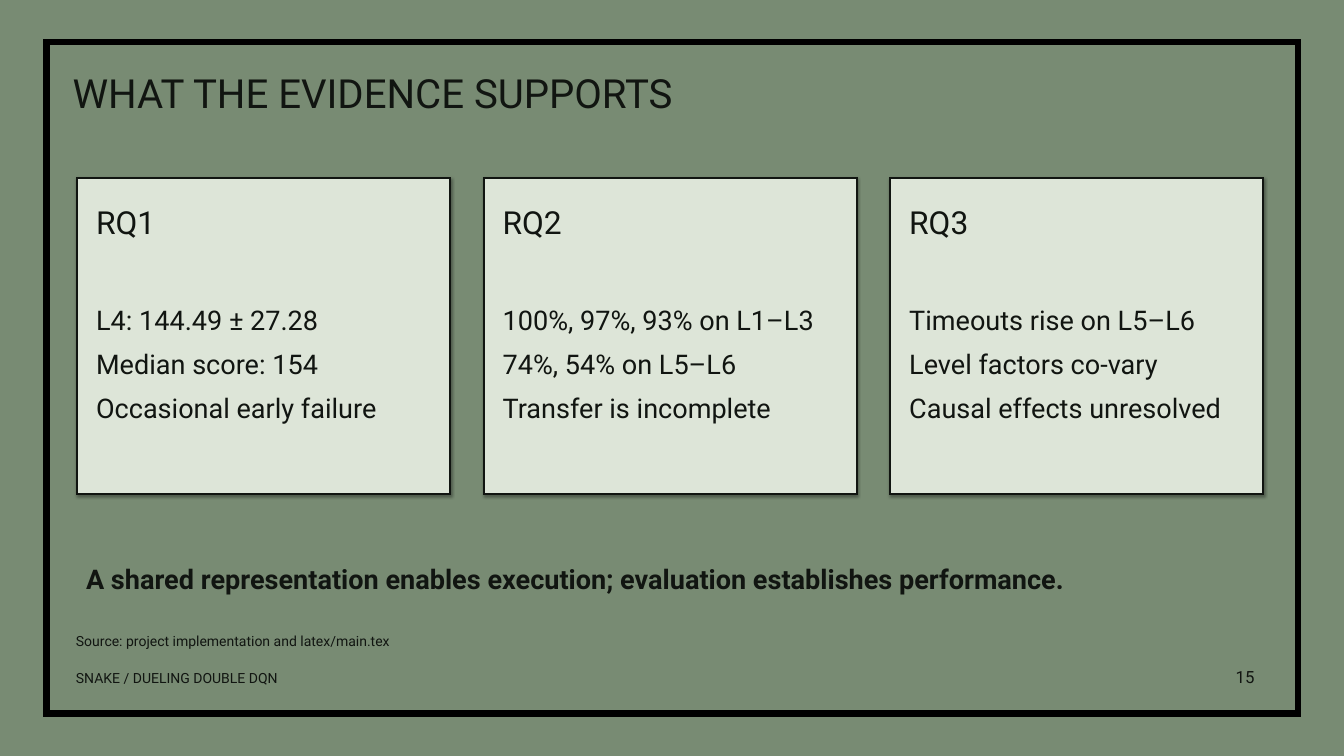
"""Build the slide that sums up what the evidence supports for each research question."""
import pptx
import pptx.dml.color
import pptx.enum.shapes
import pptx.enum.text
import pptx.oxml
import pptx.oxml.ns
import pptx.util
from pptx.util import Inches

RGBColor = pptx.dml.color.RGBColor
Align = pptx.enum.text.PP_ALIGN
SAGE = RGBColor(0x78, 0x8B, 0x73)
PALE = RGBColor(0xDD, 0xE5, 0xD8)
INK = RGBColor(0x11, 0x15, 0x11)
BLACK = RGBColor(0, 0, 0)

FINDINGS = [
    ("RQ1", ["L4: 144.49 ± 27.28", "Median score: 154", "Occasional early failure"]),
    ("RQ2", ["100%, 97%, 93% on L1–L3", "74%, 54% on L5–L6", "Transfer is incomplete"]),
    ("RQ3", ["Timeouts rise on L5–L6", "Level factors co-vary", "Causal effects unresolved"]),
]
CARD_LEFT, CARD_TOP, CARD_WIDTH, CARD_HEIGHT = 1.15, 2.65, 5.55, 4.7
CARD_STEP, CARD_PADDING = 6.05, 0.25


def write(holder, lines, size, bold=False, align=Align.LEFT):
    """Fill a text holder with unbulleted paragraphs in the slide's style."""
    frame = holder.text_frame
    frame.word_wrap = True
    frame.auto_size = pptx.enum.text.MSO_AUTO_SIZE.SHAPE_TO_FIT_TEXT
    frame.vertical_anchor = pptx.enum.text.MSO_ANCHOR.TOP
    frame.margin_left = frame.margin_right = Inches(0.03)
    frame.margin_top = frame.margin_bottom = Inches(0.02)
    frame.text = "\n".join(lines)
    for paragraph in frame.paragraphs:
        properties = paragraph._p.get_or_add_pPr()
        properties.set("marL", "0")
        properties.set("indent", "0")
        pptx.oxml.ns.qn("a:buNone")
        properties.append(pptx.oxml.parse_xml(f'<a:buNone {pptx.oxml.ns.nsdecls("a")}/>'))
        paragraph.alignment = align
        paragraph.space_before = pptx.util.Pt(0)
        paragraph.space_after = pptx.util.Pt(12)
        font = paragraph.runs[0].font
        font.name, font.size, font.bold = "Roboto", pptx.util.Pt(size), bold
        font.color.rgb = INK


def add_text(slide, text, left, top, width, height, **style):
    """Add a text box holding one paragraph."""
    box = slide.shapes.add_textbox(Inches(left), Inches(top), Inches(width), Inches(height))
    write(box, [text], **style)


def fill_placeholder(placeholder, lines, left, top, width, height, **style):
    """Move a placeholder to its place, in front of the rest, and write in it."""
    placeholder.left, placeholder.top = Inches(left), Inches(top)
    placeholder.width, placeholder.height = Inches(width), Inches(height)
    placeholder.element.getparent().append(placeholder.element)
    write(placeholder, lines, **style)


def add_rectangle(slide, left, top, width, height, line_color, line_width):
    """Add an unfilled rectangle with a mitred outline and no shadow."""
    rectangle = slide.shapes.add_shape(
        pptx.enum.shapes.MSO_SHAPE.RECTANGLE,
        Inches(left), Inches(top), Inches(width), Inches(height))
    rectangle.shadow.inherit = False
    rectangle.fill.background()
    rectangle.line.color.rgb = line_color
    rectangle.line.width = pptx.util.Pt(line_width)
    outline = rectangle.element.spPr.find(pptx.oxml.ns.qn("a:ln"))
    outline.append(pptx.oxml.parse_xml(
        f'<a:miter {pptx.oxml.ns.nsdecls("a")} lim="800000"/>'))
    return rectangle


def add_card(slide, left, question, findings, findings_placeholder):
    """Add a shadowed card with a question label and its findings."""
    card = add_rectangle(slide, left, CARD_TOP, CARD_WIDTH, CARD_HEIGHT, INK, 2)
    card.fill.solid()
    card.fill.fore_color.rgb = PALE
    effects = card.element.spPr.find(pptx.oxml.ns.qn("a:effectLst"))
    blur, distance = pptx.util.Pt(3.1), pptx.util.Pt(1.8)
    effects.append(pptx.oxml.parse_xml(
        f'<a:outerShdw {pptx.oxml.ns.nsdecls("a")} blurRad="{blur}" dist="{distance}" '
        'dir="5400000" rotWithShape="0"><a:srgbClr val="000000">'
        '<a:alpha val="35000"/></a:srgbClr></a:outerShdw>'))
    text_left, text_width = left + CARD_PADDING, CARD_WIDTH - 2 * CARD_PADDING
    add_text(slide, question, text_left, 3, text_width, 1.2, size=34)
    fill_placeholder(findings_placeholder, findings,
                     text_left, 4.5, text_width, 2.5, size=29)


def main():
    """Build and save the presentation."""
    presentation = pptx.Presentation()
    presentation.slide_width, presentation.slide_height = Inches(20), Inches(11.25)
    comparison_layout = presentation.slide_layouts[4]
    slide = presentation.slides.add_slide(comparison_layout)
    slide.background.fill.solid()
    slide.background.fill.fore_color.rgb = SAGE
    title, *bodies, takeaway = list(slide.placeholders)

    add_rectangle(slide, 0.69, 0.63, 18.63, 9.99, BLACK, 6.75)
    fill_placeholder(title, ["WHAT THE EVIDENCE SUPPORTS"], 1.05, 1, 17.8, 0.8, size=43)
    add_text(slide, "SNAKE / DUELING DOUBLE DQN", 1.1, 9.95, 13, 0.35, size=15)
    add_text(slide, "15", 17.7, 9.9, 1, 0.4, size=18, align=Align.RIGHT)
    add_text(slide, "Source: project implementation and latex/main.tex",
             1.1, 9.4, 17.6, 0.4, size=15)
    for column, ((question, findings), body) in enumerate(zip(FINDINGS, bodies)):
        add_card(slide, CARD_LEFT + column * CARD_STEP, question, findings, body)
    fill_placeholder(
        takeaway,
        ["A shared representation enables execution; evaluation establishes performance."],
        1.25, 8.35, 17.4, 0.7, size=29, bold=True)
    presentation.save("out.pptx")


if __name__ == "__main__":
    main()
